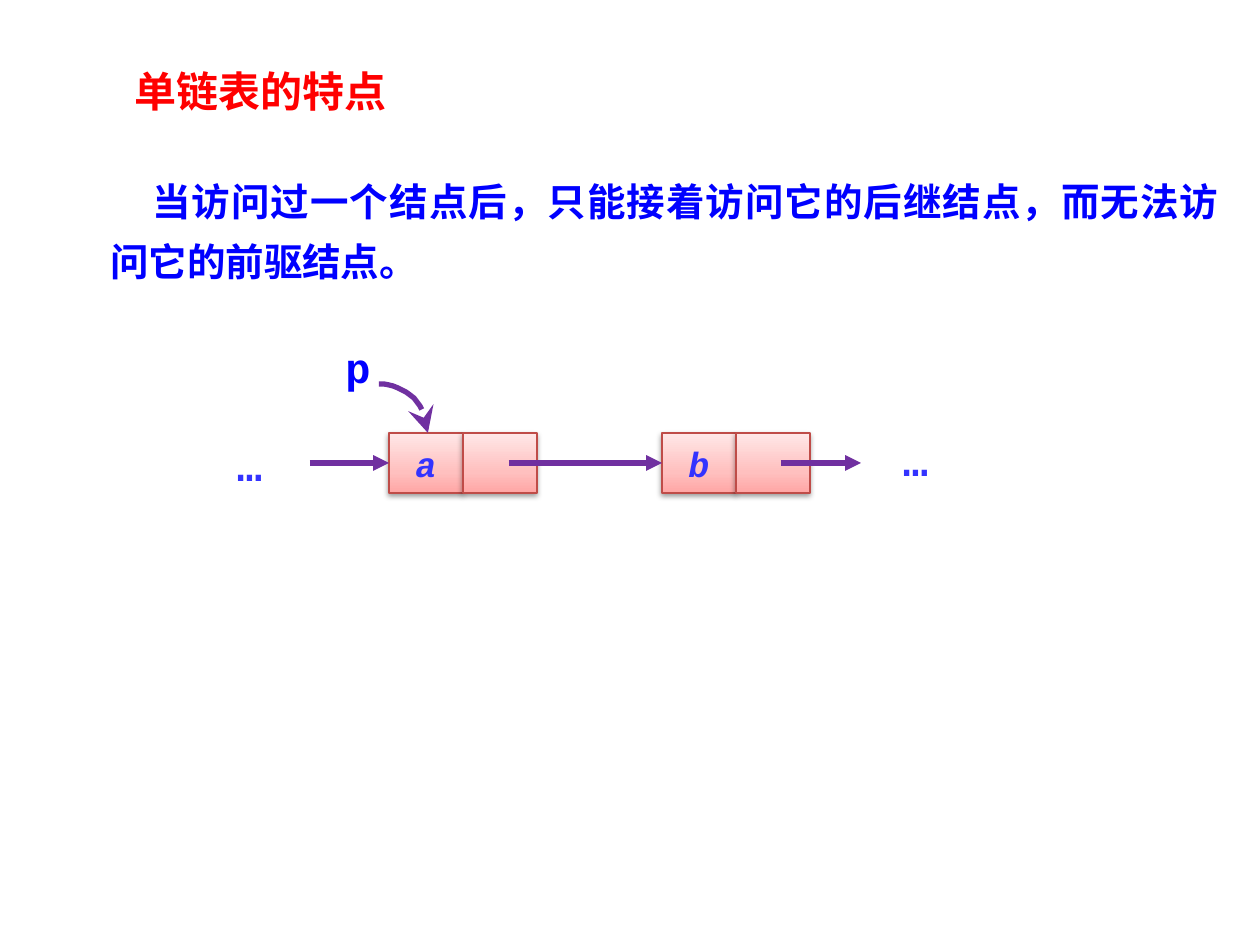
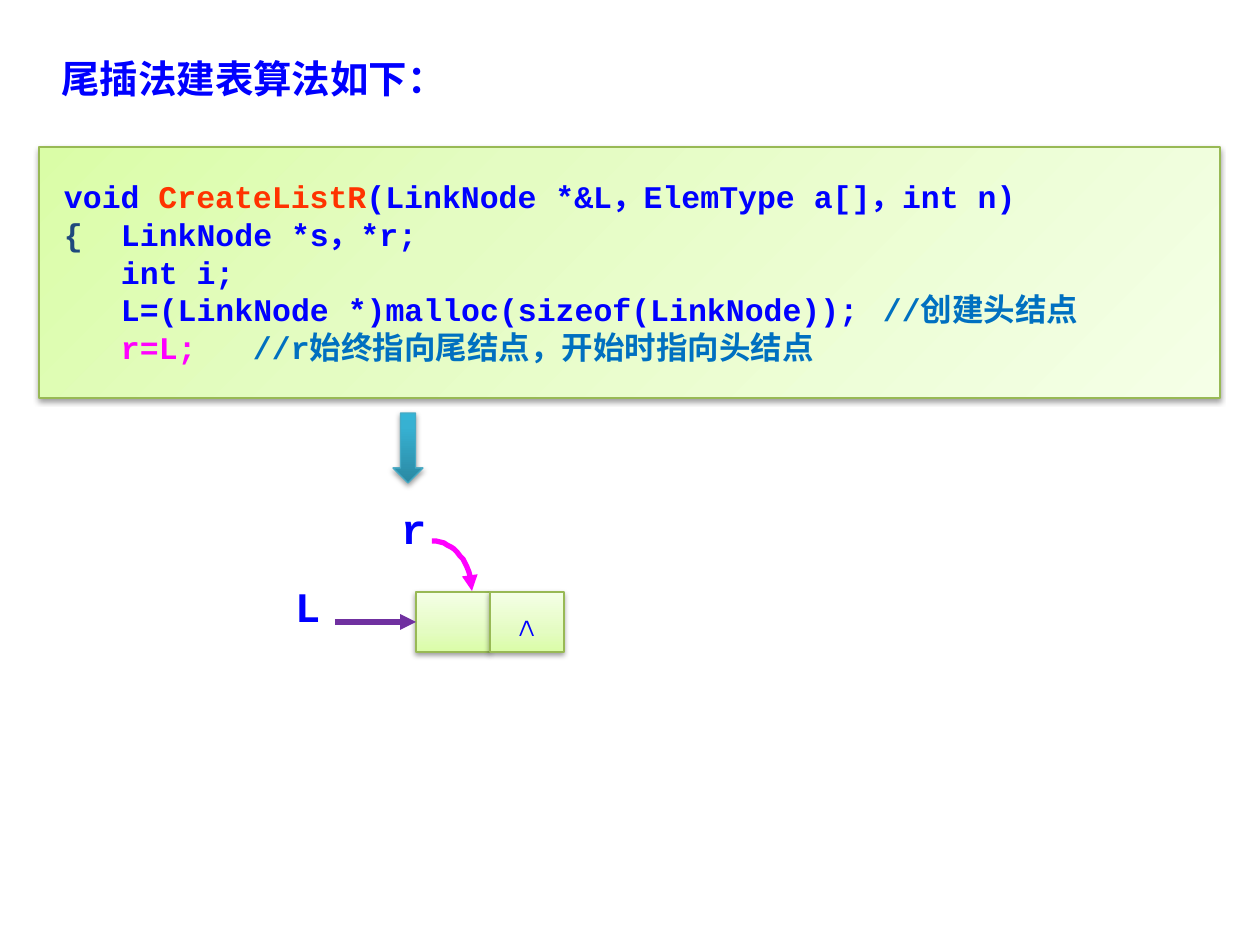
import math

import lxml.etree
import pptx
import pptx.dml.color
import pptx.enum.shapes
import pptx.enum.text
import pptx.oxml.ns
import pptx.util

EMU_PER_PX = 914400 / 126
CELL_WIDTH, CELL_HEIGHT = 74, 60
COLOURS = {
    "blue": "0000FF", "ink": "3333FF", "red": "FF0000", "orange": "FF3300",
    "navy": "1F497D", "comment": "0070C0", "magenta": "FF00FF", "purple": "7030A0",
    "pink_line": "BF4C48", "green_line": "98B955", "teal_line": "46AAC5", "black": "000000",
}
GRADIENTS = {
    "pink": ((0, "FFA6A5"), (35, "FFC0BF"), (100, "FFE7E7")),
    "green": ((0, "DAFDA7"), (35, "E4FCC2"), (100, "F5FFE7")),
    "teal": ((0, "2A88A2"), (80, "37B1D2"), (100, "34B4D6")),
}
ALIGN = pptx.enum.text.PP_ALIGN
SHAPES = pptx.enum.shapes.MSO_SHAPE


def px(value):
    return pptx.util.Emu(round(value * EMU_PER_PX))


def rgb(name):
    return pptx.dml.color.RGBColor.from_string(COLOURS[name])


def set_all(target, values):
    for name, value in values.items():
        setattr(target, name, value)


def add_xml(parent, tag, **attributes):
    values = {name: str(value) for name, value in attributes.items()}
    return lxml.etree.SubElement(parent, pptx.oxml.ns.qn(tag), values)


class Deck:
    """Holds the presentation, its style and the current slide."""

    def __init__(self):
        self.presentation = pptx.Presentation()
        set_all(self.presentation, {"slide_width": px(1260), "slide_height": px(945)})
        self.font = {"name": "Courier New", "bold": True}

    def new_slide(self):
        self.slide = self.presentation.slides.add_slide(self.presentation.slide_layouts[6])

    def paragraph(self, paragraph, runs, size, italic=False, indent=0, tab=0,
                  half_space=False, **values):
        set_all(paragraph, values)
        properties = paragraph._p.get_or_add_pPr()
        if indent:
            properties.set("indent", str(px(indent)))
        if half_space:
            add_xml(properties.get_or_add_spcBef(), "a:spcPct", val=50000)
        if tab:
            add_xml(add_xml(properties, "a:tabLst"), "a:tab", pos=px(tab), algn="l")
        for text, colour in runs:
            run = paragraph.add_run()
            run.text = text
            set_all(run.font, {**self.font, "size": pptx.util.Pt(size), "italic": italic})
            run.font.color.rgb = rgb(colour)

    def text(self, box, text, colour, size=24, inset=None, **values):
        frame = self.slide.shapes.add_textbox(*map(px, box)).text_frame
        set_all(frame, {"word_wrap": True,
                        "auto_size": pptx.enum.text.MSO_AUTO_SIZE.SHAPE_TO_FIT_TEXT})
        if inset is not None:
            self.insets(frame, [inset] * 4)
        self.paragraph(frame.paragraphs[0], [(text, colour)], size, **values)

    def insets(self, frame, sizes):
        sides = ("margin_left", "margin_top", "margin_right", "margin_bottom")
        set_all(frame, dict(zip(sides, map(px, sizes))))

    def block(self, kind, box, gradient, angle=90):
        shape = self.slide.shapes.add_shape(kind, *map(px, box))
        shape.fill.gradient()
        shape.fill.gradient_angle = angle
        stops = shape._element.spPr.find(".//" + pptx.oxml.ns.qn("a:gsLst"))
        for stop in list(stops):
            stops.remove(stop)
        for position, colour in GRADIENTS[gradient]:
            add_xml(add_xml(stops, "a:gs", pos=position * 1000), "a:srgbClr", val=colour)
        shape.line.width = pptx.util.Pt(0.75)
        shape.line.color.rgb = rgb(gradient + "_line")
        shape.shadow.inherit = False
        effects = shape._element.spPr.find(pptx.oxml.ns.qn("a:effectLst"))
        shadow = add_xml(effects, "a:outerShdw", blurRad=pptx.util.Pt(3.1),
                         dist=pptx.util.Pt(1.6), dir=5400000, rotWithShape=0)
        add_xml(add_xml(shadow, "a:srgbClr", val=COLOURS["black"]), "a:alpha", val=38000)
        return shape

    def node(self, left, top, gradient, texts, colour, italic=False):
        cells = []
        for column, text in enumerate(texts):
            box = (left + column * CELL_WIDTH, top, CELL_WIDTH, CELL_HEIGHT)
            cell = self.block(SHAPES.RECTANGLE, box, gradient)
            cell.text_frame.word_wrap = False
            if text:
                self.paragraph(cell.text_frame.paragraphs[0], [(text, colour)], 20,
                               italic=italic, alignment=ALIGN.CENTER)
            cells.append(cell)
        return cells[0]

    def stroke(self, line, colour, head, size):
        line.width = pptx.util.Pt(3)
        line.color.rgb = rgb(colour)
        add_xml(line._get_or_add_ln(), "a:tailEnd", type=head, w=size, len=size)

    def arrow(self, start, end, y, target=None):
        connector = self.slide.shapes.add_connector(
            pptx.enum.shapes.MSO_CONNECTOR.STRAIGHT, px(start), px(y), px(end), px(y))
        if target is not None:
            connector.end_connect(target, 1)
        self.stroke(connector.line, "purple", "triangle", "med")
        add_xml(connector._element.spPr, "a:effectLst")

    def pointer(self, left, top, width, height, colour, head="triangle", size="med"):
        steps = 16
        angles = [math.pi / 2 * step / steps for step in range(1, steps + 1)]
        points = [(left + width * math.sin(angle), top + height * (1 - math.cos(angle)))
                  for angle in angles]
        builder = self.slide.shapes.build_freeform(left, top, scale=EMU_PER_PX)
        builder.add_line_segments(points, close=False)
        curve = builder.convert_to_shape()
        curve.fill.background()
        self.stroke(curve.line, colour, head, size)
        curve.shadow.inherit = False

    def code(self, box, lines):
        panel = self.block(SHAPES.RECTANGLE, box, "green", angle=315)
        frame = panel.text_frame
        set_all(frame, {"word_wrap": True,
                        "vertical_anchor": pptx.enum.text.MSO_ANCHOR.TOP})
        self.insets(frame, (25, 30, 20, 30))
        for number, (runs, values) in enumerate(lines):
            paragraph = frame.add_paragraph() if number else frame.paragraphs[0]
            self.paragraph(paragraph, runs, 18, alignment=ALIGN.LEFT, **values)


def build_features(deck):
    deck.new_slide()
    deck.text((98, 158, 1134, 134),
              "当访问过一个结点后，只能接着访问它的后继结点，而无法访问它的前驱结点。",
              "blue", size=22, indent=42, half_space=True,
              alignment=ALIGN.JUSTIFY, line_spacing=1.3)
    deck.text((88, 59, 344, 63), "单链表的特点", "red", alignment=ALIGN.CENTER)
    top = 433
    middle = top + CELL_HEIGHT // 2
    node_a, node_b = [deck.node(left, top, "pink", (name, ""), "ink", italic=True)
                      for left, name in ((389, "a"), (662, "b"))]
    for left, dots_top in ((876, 428), (210, 433)):
        deck.text((left, dots_top, 79, 63), "…", "ink", half_space=True,
                  alignment=ALIGN.CENTER)
    deck.pointer(379, 384, 49, 49, "purple", head="stealth", size="lg")
    deck.text((333, 335, 59, 63), "p", "blue", half_space=True)
    deck.arrow(310, 389, middle, node_a)
    deck.arrow(509, 662, middle, node_b)
    deck.arrow(781, 861, middle)


def build_tail_insertion(deck):
    deck.new_slide()
    indent = 57
    deck.code((39, 147, 1181, 251), [
        ([("void ", "blue"), ("CreateListR", "orange"),
          ("(LinkNode *&L，ElemType a[]，int n)", "blue")], {}),
        ([("{\t", "navy"), ("LinkNode *s，*r;", "blue")], {"tab": indent}),
        ([("int i;", "blue")], {"indent": indent}),
        ([("L=(LinkNode *)malloc(sizeof(LinkNode));\t", "blue"),
          ("//创建头结点", "comment")], {"indent": indent, "tab": 832}),
        ([("r=L;\t", "magenta"), ("//r始终指向尾结点，开始时指向头结点", "comment")],
         {"indent": indent, "tab": 504}),
    ])
    deck.text((49, 49, 709, 59), "尾插法建表算法如下：", "blue", size=22)
    head = deck.node(416, 592, "green", ("", "∧"), "blue")
    deck.arrow(335, 416, 622, head)
    for name, left, top in (("L", 295, 581), ("r", 401, 503)):
        deck.text((left, top, 59, 50), name, "blue", inset=0, half_space=True)
    deck.pointer(432, 541, 40, 50, "magenta")
    deck.block(SHAPES.DOWN_ARROW, (393, 413, 30, 70), "teal")


def main():
    deck = Deck()
    build_features(deck)
    build_tail_insertion(deck)
    deck.presentation.save("out.pptx")


if __name__ == "__main__":
    main()
